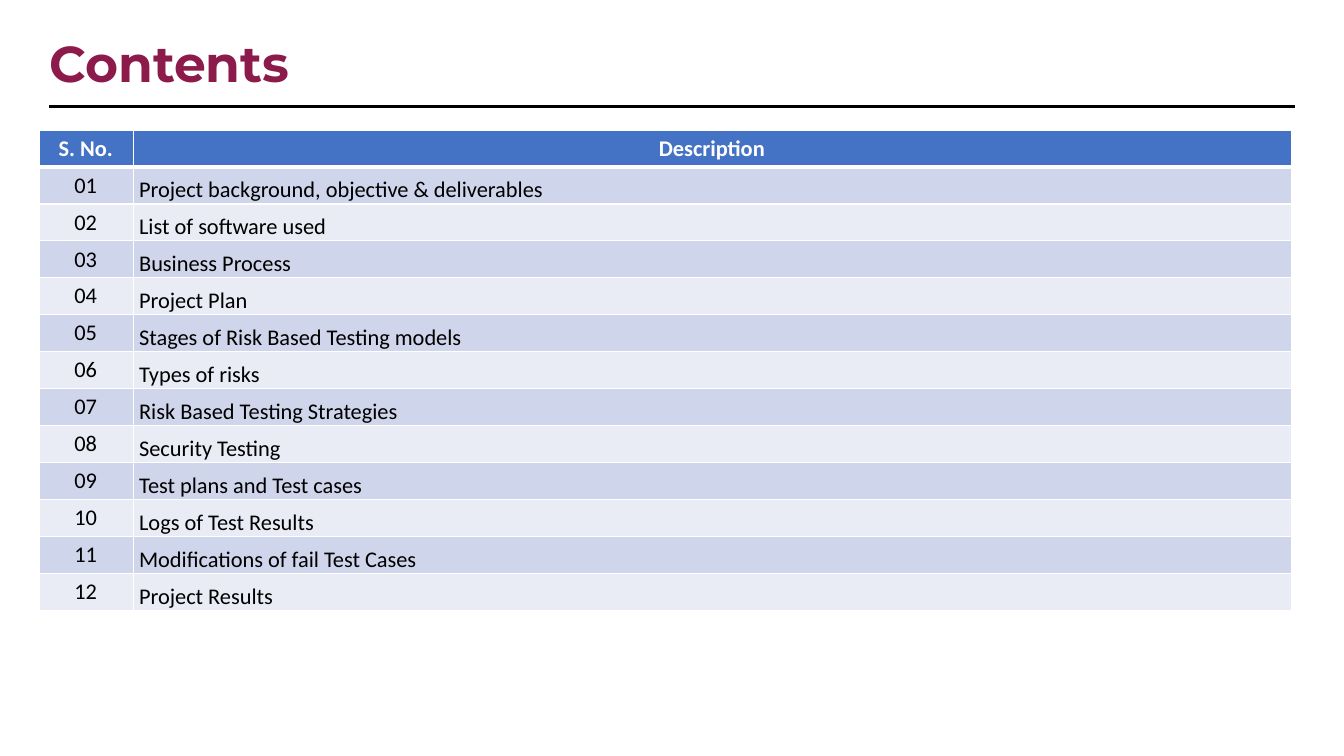
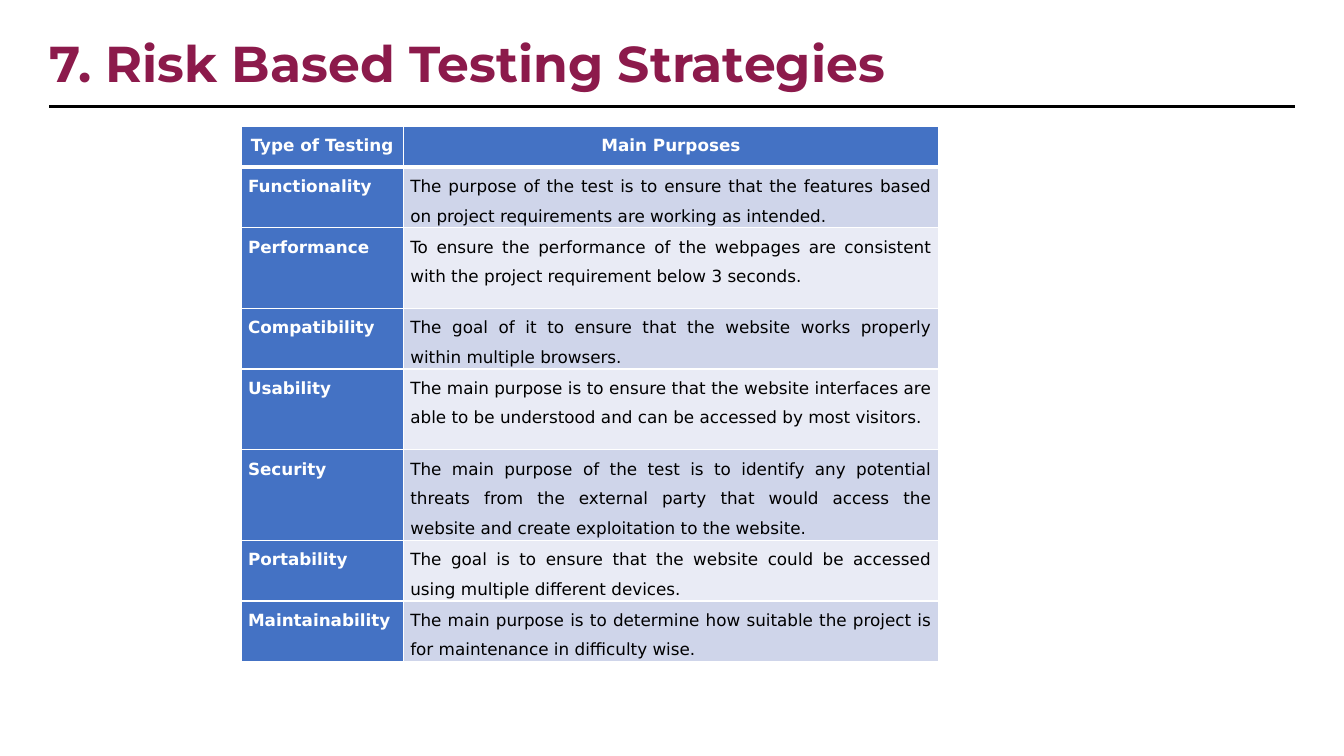
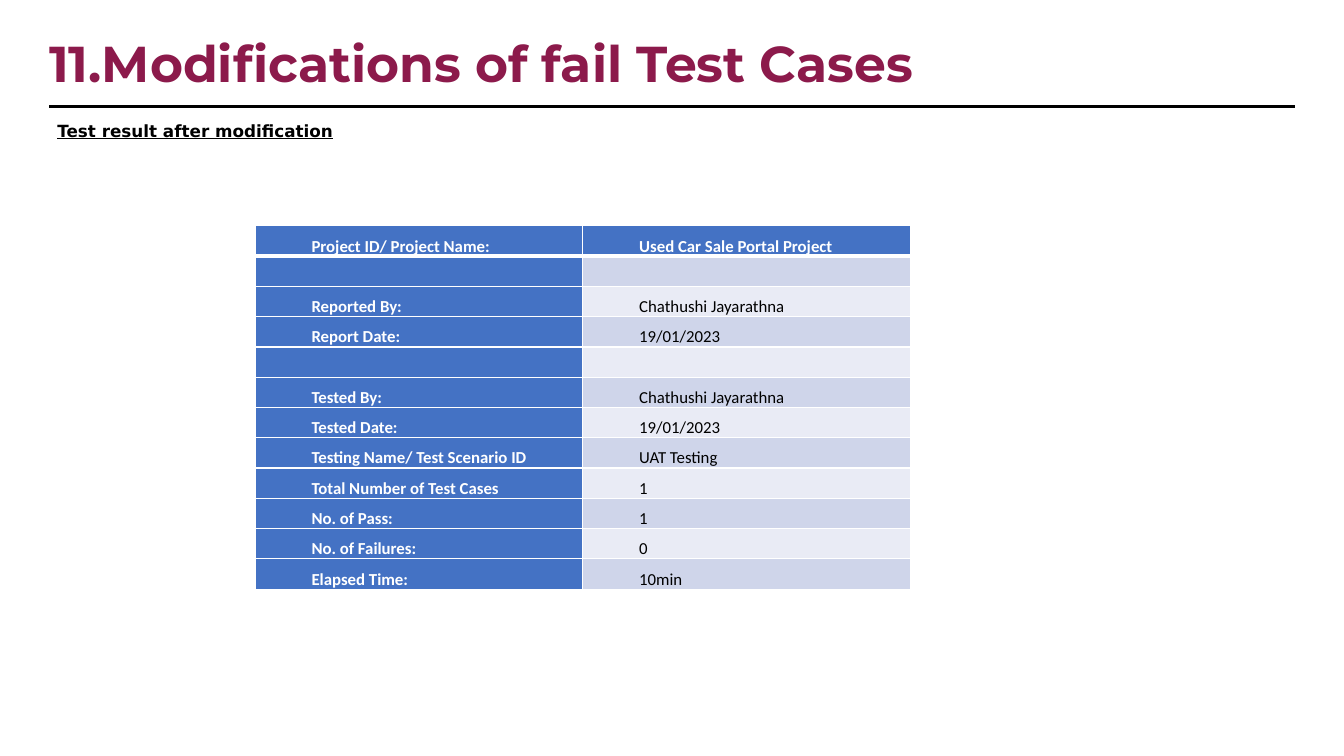
from dataclasses import dataclass
from lxml.etree import SubElement
from pptx import Presentation
from pptx.dml.color import RGBColor
from pptx.enum.shapes import MSO_CONNECTOR as Conn
from pptx.enum.text import MSO_ANCHOR as Anchor, MSO_AUTO_SIZE as Fit, PP_ALIGN as Align
from pptx.oxml.ns import qn
from pptx.util import Inches, Pt

# Shared look
WHITE, BLACK, WINE = "FFFFFF", "000000", "8C1A4B"
BLUE, BANDS = "4472C4", ("CFD5EA", "E9EBF5")
SANS, BODY, HEAD = "DejaVu Sans", "Calibri", "Montserrat"


@dataclass
class Look:
    font: str
    size: int
    pad: float                  # left inset
    side: bool = True           # blue first column
    head: Align = Align.CENTER  # header row
    body: tuple = (Align.LEFT, Align.LEFT)
    anchor: tuple = (Anchor.TOP, Anchor.TOP)
    lead: float = 1.5
    after: int = 0


# Contents
TOPICS = [
    "Project background, objective & deliverables", "List of software used",
    "Business Process", "Project Plan", "Stages of Risk Based Testing models",
    "Types of risks", "Risk Based Testing Strategies", "Security Testing",
    "Test plans and Test cases", "Logs of Test Results",
    "Modifications of fail Test Cases", "Project Results",
]
TESTS = [
    ("Type of Testing", "Main Purposes"),
    ("Functionality", "The purpose of the test is to ensure that the features based on "
     "project requirements are working as intended."),
    ("Performance", "To ensure the performance of the webpages are consistent with the "
     "project requirement below 3 seconds."),
    ("Compatibility", "The goal of it to ensure that the website works properly within "
     "multiple browsers."),
    ("Usability", "The main purpose is to ensure that the website interfaces are able to "
     "be understood and can be accessed by most visitors."),
    ("Security", "The main purpose of the test is to identify any potential threats from "
     "the external party that would access the website and create exploitation to the website."),
    ("Portability", "The goal is to ensure that the website could be accessed using "
     "multiple different devices."),
    ("Maintainability", "The main purpose is to determine how suitable the project is for "
     "maintenance in difficulty wise."),
]
REPORT = [
    ("Project ID/ Project Name:", "Used Car Sale Portal Project"),
    ("", ""),
    ("Reported By:", "Chathushi Jayarathna"),
    ("Report Date:", "19/01/2023"),
    ("", ""),
    ("Tested By:", "Chathushi Jayarathna"),
    ("Tested Date:", "19/01/2023"),
    ("Testing Name/ Test Scenario ID", "UAT Testing"),
    ("Total Number of Test Cases", "1"),
    ("No. of Pass:", "1"),
    ("No. of Failures:", "0"),
    ("Elapsed Time:", "10min"),
]


def rgb(code):
    return RGBColor.from_string(code)


def write(para, text, font, size, color, bold=True, under=False):
    run = para.add_run()
    run.text = text
    face = run.font
    face.name, face.size, face.bold = font, Pt(size), bold
    face.color.rgb = rgb(color)
    if under:
        face.underline = True


def label(slide, left, top, width, height, text, font, size, color, under=False):
    frame = slide.shapes.add_textbox(*map(Inches, (left, top, width, height))).text_frame
    frame.word_wrap = True
    frame.auto_size = Fit.SHAPE_TO_FIT_TEXT
    write(frame.paragraphs[0], text, font, size, color, under=under)


def rule(slide, left, right, top):
    line = slide.shapes.add_connector(
        Conn.STRAIGHT, Inches(left), Inches(top), Inches(right), Inches(top))
    line.line.color.rgb = rgb(BLACK)
    line.line.width = Pt(2)
    SubElement(line._element.spPr, qn("a:effectLst"))


def page(deck, title):
    slide = deck.slides.add_slide(deck.slide_layouts[6])
    rule(slide, 0.49, 12.84, 1.06)
    label(slide, 0.39, 0.27, 9.34, 0.71, title, HEAD, 36, WINE)
    return slide


def border(cell, row):
    # A thick line divides the header from the body
    wide = {"L": 1, "R": 1, "T": 3 if row == 1 else 1, "B": 1 if row else 3}
    props = cell._tc.get_or_add_tcPr()
    for edge, size in wide.items():
        line = SubElement(props, qn("a:ln" + edge), w=str(Pt(size)))
        SubElement(SubElement(line, qn("a:solidFill")), qn("a:srgbClr"), val=WHITE)


def fill(cell, text, row, col, look):
    dark = row == 0 or (look.side and col == 0)
    border(cell, row)
    cell.fill.solid()
    cell.fill.fore_color.rgb = rgb(BLUE if dark else BANDS[(row - 1) % 2])
    cell.margin_left, cell.margin_right = Inches(look.pad), Inches(0.07)
    cell.margin_top = cell.margin_bottom = 0
    cell.vertical_anchor = look.anchor[col] if row else look.anchor[0]
    if text:
        para = cell.text_frame.paragraphs[0]
        para.alignment = look.body[col] if row else look.head
        para.line_spacing = look.lead
        para.space_after = Pt(look.after)
        write(para, text, look.font, look.size, WHITE if dark else BLACK, dark)


def grid(slide, left, top, cols, highs, rows, look):
    table = slide.shapes.add_table(
        len(rows), len(cols), Inches(left), Inches(top),
        Inches(sum(cols)), Inches(sum(highs))).table
    for col, width in zip(table.columns, cols):
        col.width = Inches(width)
    for row, high in zip(table.rows, highs):
        row.height = Inches(high)
    for r, texts in enumerate(rows):
        for c, text in enumerate(texts):
            fill(table.cell(r, c), text, r, c, look)


def main():
    deck = Presentation()
    deck.slide_width, deck.slide_height = Inches(13.33), Inches(7.5)

    # Contents
    slide = page(deck, "Contents")
    rows = [("S. No.", "Description")]
    rows += [(f"{n:02}", topic) for n, topic in enumerate(TOPICS, 1)]
    look = Look(BODY, 16, 0.06, side=False, body=(Align.CENTER, Align.LEFT),
                anchor=(Anchor.MIDDLE, Anchor.BOTTOM), lead=1.0)
    grid(slide, 0.39, 1.29, (0.93, 11.49), [4.77 / len(rows)] * len(rows), rows, look)

    # Testing strategies
    slide = page(deck, "7. Risk Based Testing Strategies")
    look = Look(SANS, 12, 0.07, body=(Align.JUSTIFY, Align.JUSTIFY), after=8)
    highs = (0.41, 0.6, 0.8, 0.6, 0.8, 0.9, 0.6, 0.6)
    grid(slide, 2.39, 1.25, (1.61, 5.31), highs, TESTS, look)

    # Test report
    slide = page(deck, "11.Modifications of fail Test Cases")
    label(slide, 0.47, 1.15, 11.61, 0.3, "Test result after modification",
          SANS, 12, BLACK, under=True)
    look = Look(BODY, 12, 0.56, head=Align.LEFT)
    grid(slide, 2.53, 2.24, (3.25, 3.25), [0.3] * len(REPORT), REPORT, look)

    deck.save("out.pptx")


if __name__ == "__main__":
    main()
